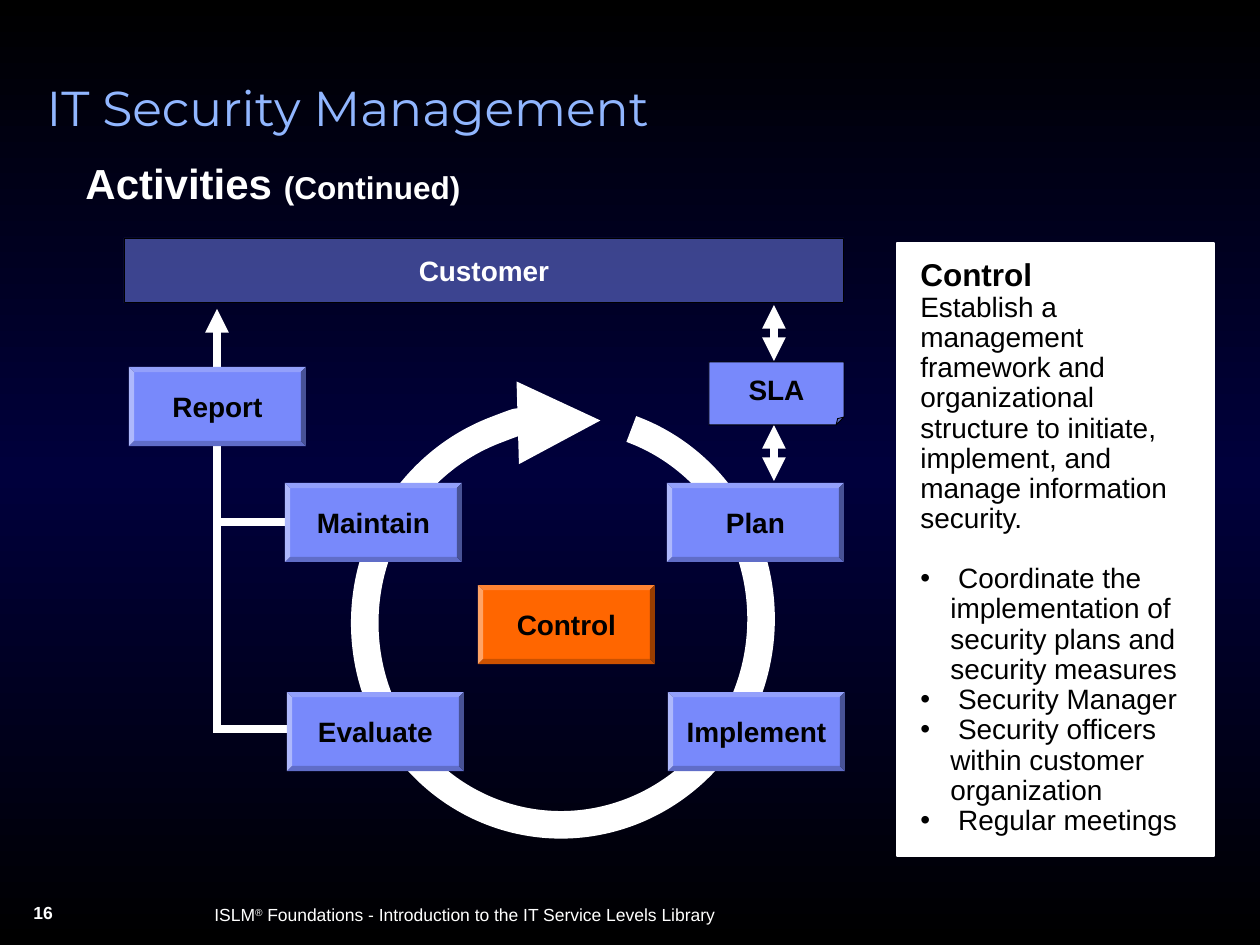
from copy import deepcopy

from lxml.etree import SubElement
from pptx import Presentation
from pptx.dml.color import RGBColor
from pptx.enum.shapes import MSO_CONNECTOR as CONN, MSO_SHAPE as SHAPE
from pptx.enum.text import MSO_ANCHOR as ANCHOR, MSO_AUTO_SIZE as AUTO, PP_ALIGN as ALIGN
from pptx.oxml.ns import qn
from pptx.util import Pt

PX = 914400 // 126
WHITE, BLACK, BLUE, ORANGE = "FFFFFF", "000000", "7889FB", "FF6600"


def rgb(code):
    return RGBColor.from_string(code)


def add_text(p, text, size=16, bold=False, color=BLACK, font="Arial", align=None, spacing=None):
    r = p.add_run()
    r.text = text
    r.font.size = Pt(size)
    r.font.bold = bold
    r.font.name = font
    r.font.color.rgb = rgb(color)
    if align is not None:
        p.alignment = align
    if spacing is not None:
        p.line_spacing = spacing
    return r


prs = Presentation()
prs.slide_width, prs.slide_height = 1260 * PX, 945 * PX
s = prs.slides.add_slide(prs.slide_layouts[5])

# Background: dark blue band between black edges
bg = s.background.fill
bg.gradient()
bg.gradient_angle = 270
stops = s.element.find(".//" + qn("a:gsLst"))
stops.insert(1, deepcopy(stops[0]))
for stop, pos, color in zip(bg.gradient_stops, (0, 0.5, 1), (BLACK, "00003C", BLACK)):
    stop.position = pos
    stop.color.rgb = rgb(color)

# Title
title = s.shapes.title
title.left, title.top, title.width, title.height = (v * PX for v in (34, 78, 1124, 169))
title.text_frame.vertical_anchor = ANCHOR.TOP
title.text_frame.auto_size = AUTO.NONE
add_text(title.text_frame.paragraphs[0], "IT Security Management", size=28, color="91B6FF",
         font="Montserrat", align=ALIGN.LEFT, spacing=0.9)

# Reporting lines and the two-way links around the SLA: start, end, head, tail
lines = [
    (774, 481, 774, 425, True, True),
    (774, 361, 774, 305, True, True),
    (314, 522, 215, 522, False, False),
    (312, 729, 214, 729, False, False),
    (217, 733, 217, 309, False, True),
]
for x1, y1, x2, y2, head, tail in lines:
    cn = s.shapes.add_connector(CONN.STRAIGHT, x1 * PX, y1 * PX, x2 * PX, y2 * PX)
    cn.line.width = Pt(4.5)
    cn.line.color.rgb = rgb(WHITE)
    ln = cn.line._get_or_add_ln()
    for tag, wanted in (("a:headEnd", head), ("a:tailEnd", tail)):
        if wanted:
            SubElement(ln, qn(tag), type="triangle")
    SubElement(cn._element.spPr, qn("a:effectLst"))

# Cycle arrow, running clockwise from 280 to 271 degrees
ring = s.shapes.add_shape(SHAPE.ARC, 365 * PX, 417 * PX, 396 * PX, 408 * PX)
ring.adjustments[0], ring.adjustments[1] = 280 * 0.6, 271 * 0.6
ring.rotation = 9.6
ring.shadow.inherit = False
ring.fill.background()
ring.line.width = Pt(15.75)
ring.line.color.rgb = rgb(WHITE)
SubElement(ring.line._get_or_add_ln(), qn("a:tailEnd"), type="triangle")

# Customer bar, SLA note and bevelled activity boxes
BOX_W, BOX_H = 177, 79
boxes = [
    ("Customer", SHAPE.RECTANGLE, 124, 238, 720, 65, BLUE, WHITE),
    ("Maintain", SHAPE.BEVEL, 285, 483, BOX_W, BOX_H, BLUE, BLACK),
    ("Control", SHAPE.BEVEL, 478, 585, BOX_W, BOX_H, ORANGE, BLACK),
    ("Evaluate", SHAPE.BEVEL, 287, 692, BOX_W, BOX_H, BLUE, BLACK),
    ("Implement", SHAPE.BEVEL, 668, 692, BOX_W, BOX_H, BLUE, BLACK),
    ("Plan", SHAPE.BEVEL, 667, 483, BOX_W, BOX_H, BLUE, BLACK),
    ("SLA", SHAPE.FOLDED_CORNER, 709, 362, 135, 63, BLUE, BLACK),
    ("Report", SHAPE.BEVEL, 129, 367, BOX_W, BOX_H, BLUE, BLACK),
]
for name, kind, x, y, w, h, fill, color in boxes:
    sp = s.shapes.add_shape(kind, x * PX, y * PX, w * PX, h * PX)
    sp.shadow.inherit = False
    sp.fill.solid()
    sp.fill.fore_color.rgb = rgb(fill)
    if kind == SHAPE.BEVEL:
        sp.adjustments[0] = 0.065
        sp.line.fill.background()
    else:
        sp.line.width = Pt(0.5)
        sp.line.color.rgb = rgb(BLACK)
    if kind == SHAPE.FOLDED_CORNER:
        guides = sp._element.spPr.find(".//" + qn("a:avLst"))
        SubElement(guides, qn("a:gd"), name="adj", fmla="val 12500")
    if name == "Customer":
        SubElement(sp._element.spPr.find(".//" + qn("a:srgbClr")), qn("a:alpha"), val="50000")
    tf = sp.text_frame
    tf.word_wrap = False
    tf.vertical_anchor = ANCHOR.MIDDLE
    add_text(tf.paragraphs[0], name, bold=True, color=color, align=ALIGN.CENTER)

# White panel behind the description
panel = s.shapes.add_shape(SHAPE.RECTANGLE, 897 * PX, 243 * PX, 317 * PX, 613 * PX)
panel.shadow.inherit = False
panel.fill.solid()
panel.fill.fore_color.rgb = rgb(WHITE)
panel.line.color.rgb = rgb(WHITE)
panel.line.width = Pt(0.75)

# Text boxes: subtitle, description, slide number, footer
frames = []
for x, y, w, h in ((73, 157, 804, 78), (908, 253, 289, 591), (21, 896, 139, 44), (202, 898, 743, 34)):
    tf = s.shapes.add_textbox(x * PX, y * PX, w * PX, h * PX).text_frame
    tf.word_wrap = True
    frames.append(tf)
subtitle, description, number, footer = frames

p = subtitle.paragraphs[0]
add_text(p, "Activities ", size=24, bold=True, color=WHITE, spacing=0.9)
add_text(p, "(Continued)", size=18, bold=True, color=WHITE)

add_text(description.paragraphs[0], "Control", size=18, bold=True, spacing=0.9)
add_text(description.add_paragraph(),
         "Establish a management framework and organizational structure to initiate, "
         "implement, and manage information security.", spacing=0.9)
bullets = [
    " Coordinate the implementation of security plans and security measures",
    " Security Manager",
    " Security officers within customer organization",
    " Regular meetings",
]
for i, text in enumerate(bullets):
    p = description.add_paragraph()
    add_text(p, text, spacing=0.9)
    p.space_before = Pt(0 if i else 17)
    pPr = p._p.get_or_add_pPr()
    pPr.set("marL", str(30 * PX))
    pPr.set("indent", str(-30 * PX))
    SubElement(pPr, qn("a:buFont"), typeface="Arial")
    SubElement(pPr, qn("a:buChar"), char="•")

p = number.paragraphs[0]
p.space_before = Pt(6.2)
add_text(p, "16", size=10, bold=True, color=WHITE)

p = footer.paragraphs[0]
add_text(p, "ISLM", size=10, color=WHITE)
mark = add_text(p, "®", size=10, color=WHITE)
mark.font._element.set("baseline", "30000")
add_text(p, " Foundations - Introduction to the IT Service Levels Library", size=10, color=WHITE)

prs.save("out.pptx")
